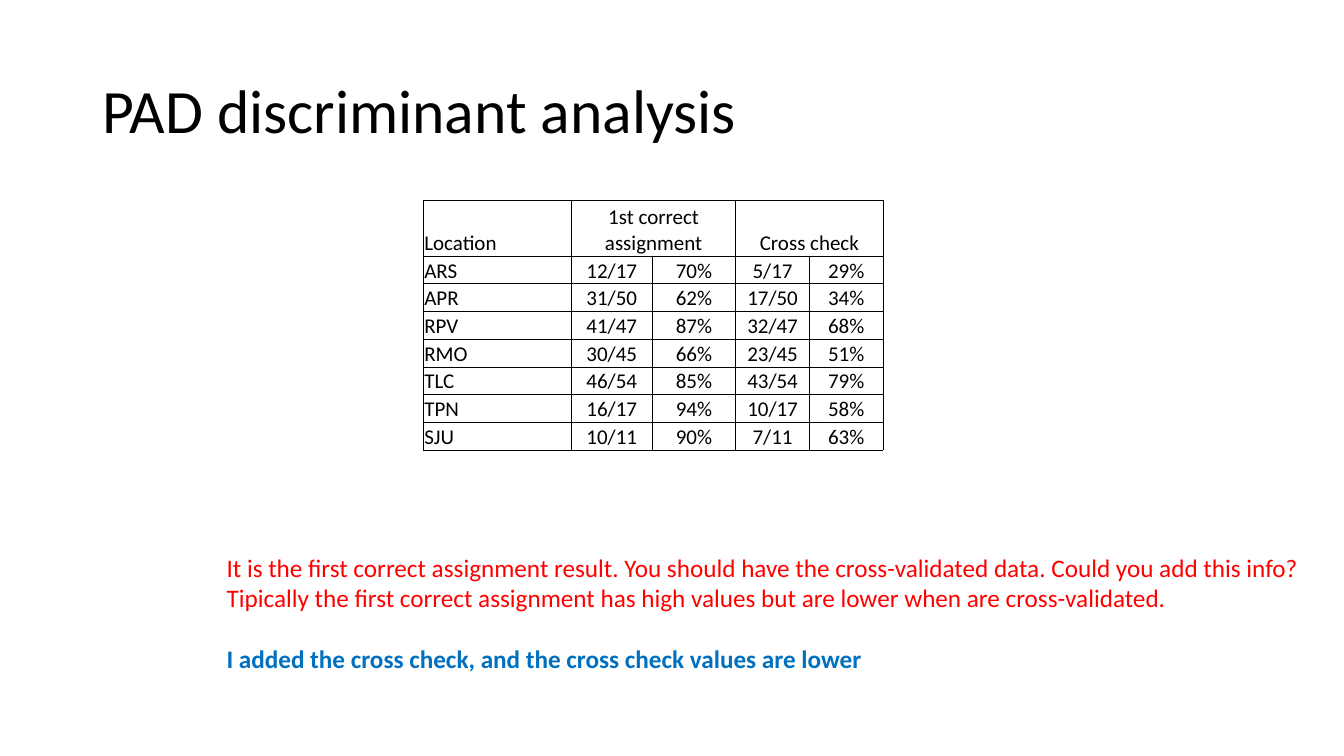
from pptx import Presentation
from pptx.dml.color import RGBColor
from pptx.enum.text import MSO_ANCHOR as Anchor, MSO_AUTO_SIZE as AutoSize, PP_ALIGN as Align
from pptx.oxml import parse_xml
from pptx.oxml.ns import nsdecls
from pptx.util import Pt

FONT = "Calibri"
COLORS = {"text": "000000", "question": "FF0000", "answer": "0070C0"}
COLUMN_WIDTHS = [105.8, 57.6, 59.8, 52.6, 52.6]
HEADER_HEIGHT, ROW_HEIGHT = 39.6, 19.8
HEADER = ["Location", "1st correct assignment", "", "Cross check", ""]
RESULTS = [
    ["ARS", "12/17", "70%", "5/17", "29%"],
    ["APR", "31/50", "62%", "17/50", "34%"],
    ["RPV", "41/47", "87%", "32/47", "68%"],
    ["RMO", "30/45", "66%", "23/45", "51%"],
    ["TLC", "46/54", "85%", "43/54", "79%"],
    ["TPN", "16/17", "94%", "10/17", "58%"],
    ["SJU", "10/11", "90%", "7/11", "63%"],
]
# Text, colour, bold, space before
COMMENTS = [
    ("It is the first correct assignment result. You should have the "
     "cross-validated data. Could you add this info?", "question", False, 0),
    ("Tipically the first correct assignment has high values but are lower "
     "when are cross-validated.", "question", False, 0),
    ("I added the cross check, and the cross check values are lower",
     "answer", True, 22),
]


def add_span(para, text, size, color="text", bold=False):
    """Add one formatted run to a paragraph."""
    span = para.add_run()
    span.text = text
    span.font.name = FONT
    span.font.size = Pt(size)
    span.font.bold = bold
    span.font.color.rgb = RGBColor.from_string(COLORS[color])


def set_title(page, text):
    """Place and format the title placeholder."""
    title = page.shapes.title
    title.left, title.top, title.width, title.height = Pt(66), Pt(28.8), Pt(828), Pt(104.4)
    frame = title.text_frame
    frame.auto_size = AutoSize.NONE
    frame.vertical_anchor = Anchor.MIDDLE
    para = frame.paragraphs[0]
    para.alignment = Align.LEFT
    para.line_spacing = 0.9
    add_span(para, text, 44)


def add_comments(page):
    """Add the reviewer's question and the author's answer."""
    box = page.shapes.add_textbox(Pt(154.8), Pt(391), Pt(789), Pt(94.3))
    frame = box.text_frame
    frame.word_wrap = False
    frame.auto_size = AutoSize.SHAPE_TO_FIT_TEXT
    for index, (text, color, bold, space) in enumerate(COMMENTS):
        para = frame.add_paragraph() if index else frame.paragraphs[0]
        para.space_before = Pt(space)
        add_span(para, text, 18, color, bold)


def add_borders(cell):
    """Draw a thin line on all four sides of a cell."""
    properties = cell._tc.get_or_add_tcPr()
    for side in "LRTB":
        properties.append(parse_xml(
            f'<a:ln{side} {nsdecls("a")} w="{Pt(0.5)}"><a:solidFill>'
            f'<a:srgbClr val="{COLORS["text"]}"/></a:solidFill></a:ln{side}>'))


def format_cell(cell, text, alignment):
    """Fill in one table cell."""
    add_borders(cell)
    cell.fill.background()
    cell.vertical_anchor = Anchor.BOTTOM
    cell.margin_left = cell.margin_right = cell.margin_top = Pt(0.7)
    cell.margin_bottom = 0
    para = cell.text_frame.paragraphs[0]
    para.alignment = alignment
    if text:
        add_span(para, text, 15)


def add_results(page):
    """Add the table of assignment rates per location."""
    rows = [HEADER] + RESULTS
    heights = [HEADER_HEIGHT] + [ROW_HEIGHT] * len(RESULTS)
    table = page.shapes.add_table(
        len(rows), len(HEADER), Pt(302.4), Pt(143.3),
        Pt(sum(COLUMN_WIDTHS)), Pt(sum(heights))).table
    table.first_row = table.horz_banding = False
    for column, width in zip(table.columns, COLUMN_WIDTHS):
        column.width = Pt(width)
    for row, height in zip(table.rows, heights):
        row.height = Pt(height)
    for first in (1, 3):
        table.cell(0, first).merge(table.cell(0, first + 1))
    for row, texts in enumerate(rows):
        for column, text in enumerate(texts):
            alignment = Align.CENTER if column else Align.LEFT
            format_cell(table.cell(row, column), text, alignment)


def main():
    """Build the slide and save it."""
    deck = Presentation()
    deck.slide_width, deck.slide_height = Pt(960), Pt(540)
    page = deck.slides.add_slide(deck.slide_layouts[5])
    set_title(page, "PAD discriminant analysis")
    add_comments(page)
    add_results(page)
    deck.save("out.pptx")


main()
